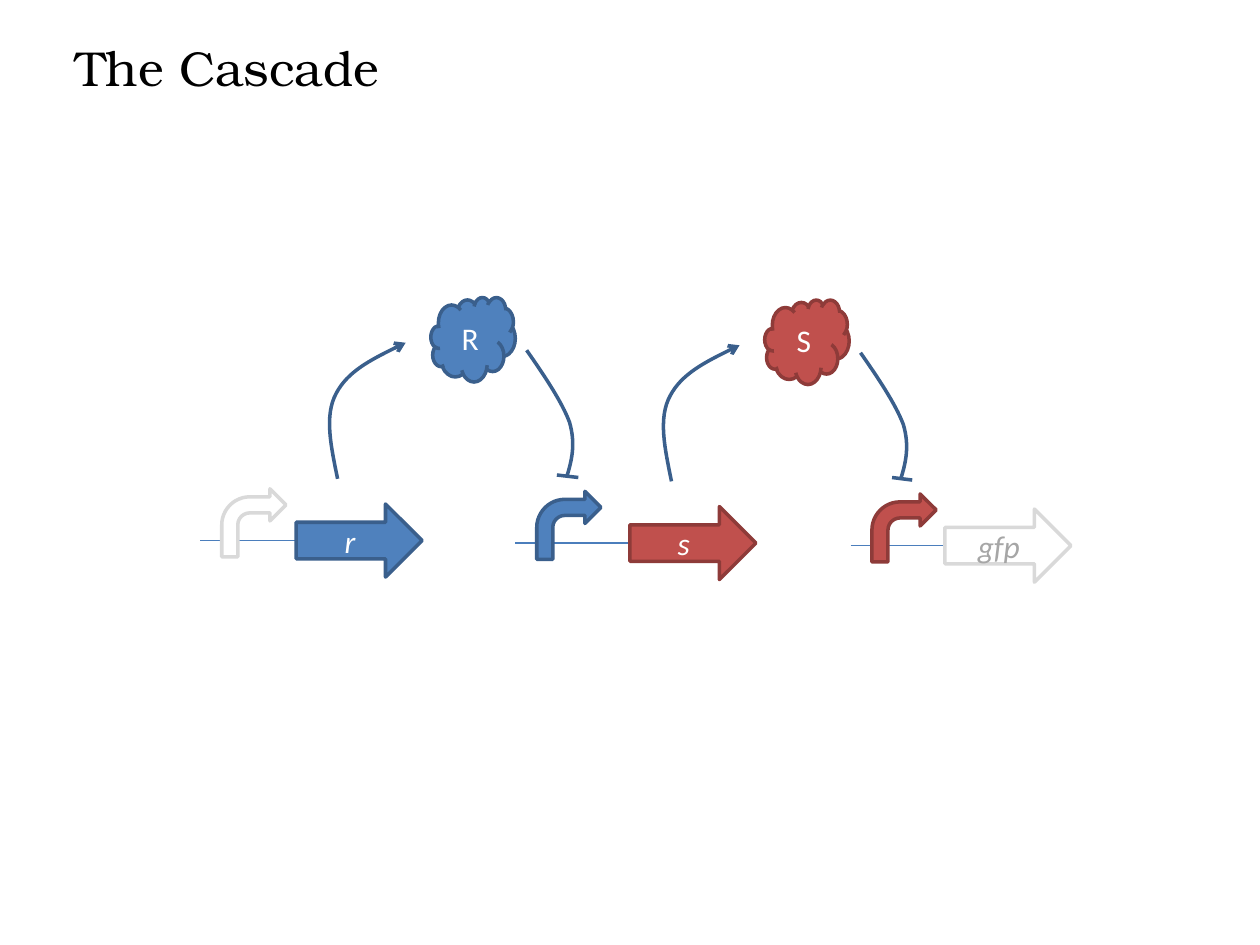
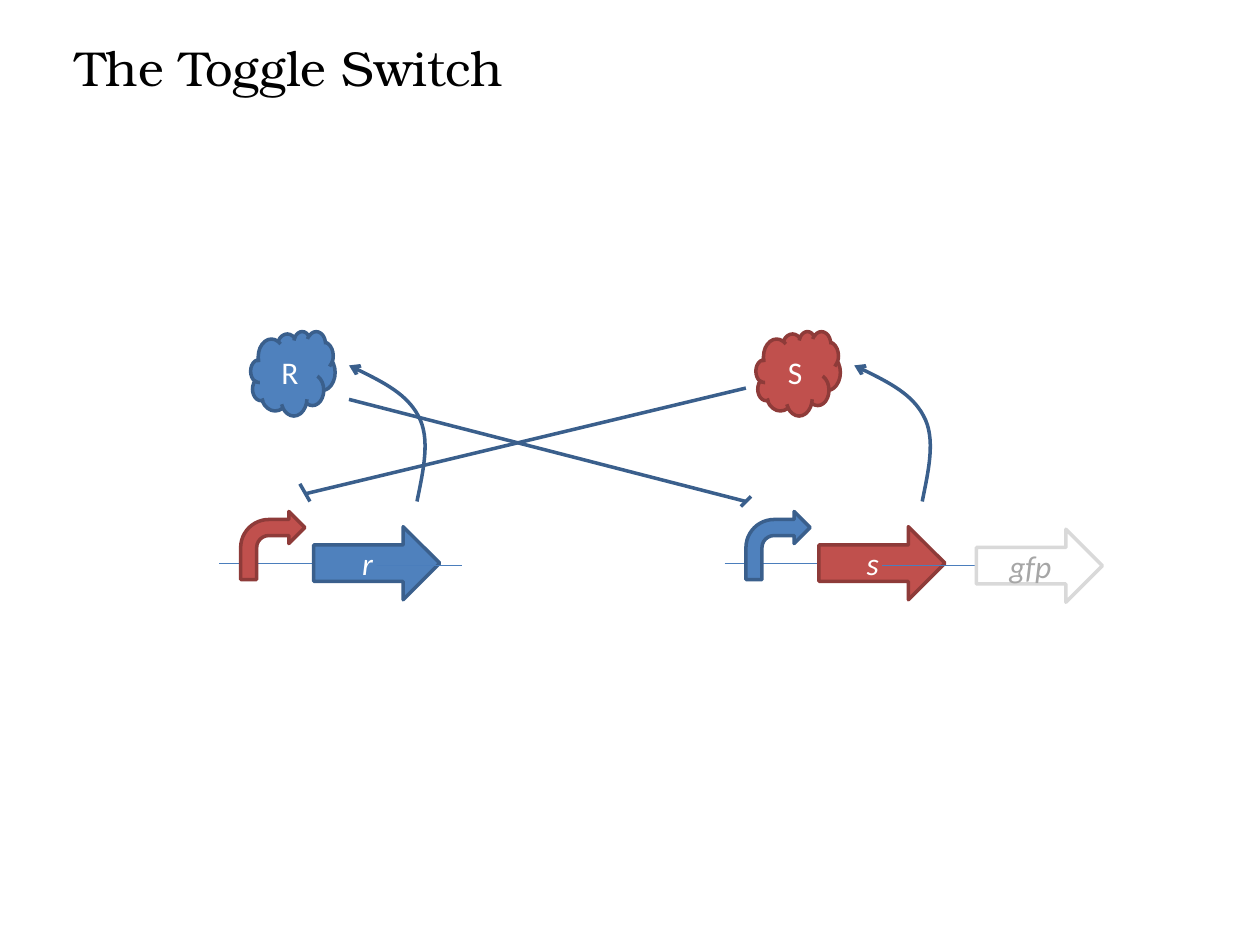
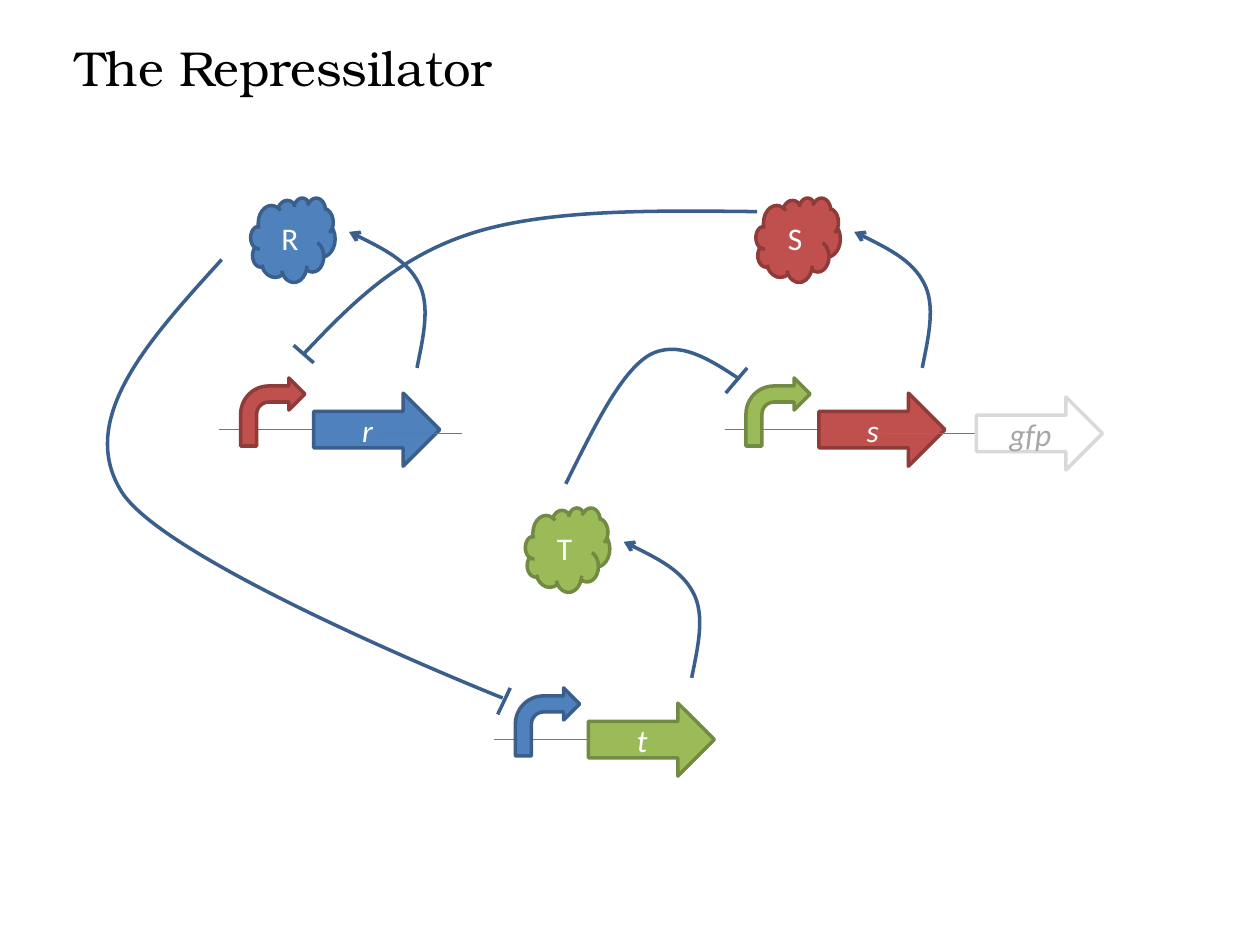
import pptx
import pptx.dml.color
import pptx.enum.shapes
import pptx.enum.text
import pptx.oxml.ns
import pptx.util
from lxml import etree

Inches = pptx.util.Inches
Pt = pptx.util.Pt
SHAPE = pptx.enum.shapes.MSO_SHAPE
qn = pptx.oxml.ns.qn

COLORS = {
    "blue": "4F81BD", "blue edge": "3A5F8C",
    "red": "C0504D", "red edge": "8E3B39",
    "green": "9BBB59", "green edge": "738A42",
    "white": "FFFFFF", "white edge": "D9D9D9",
    "dna": "4B7EBC", "title": "000000", "muted": "A6A6A6",
}
RGB = {name: pptx.dml.color.RGBColor.from_string(value) for name, value in COLORS.items()}
CURVE_STEPS = 50

# Offsets from a gene arrow's corner to its protein and to the expression curve
LEFT_CURVE = [(0.82, -0.2), (0.87, -0.45), (0.93, -0.7), (0.83, -0.88),
              (0.74, -1.05), (0.51, -1.17), (0.28, -1.28)]
RIGHT_CURVE = [(1.15 - x, y) for x, y in LEFT_CURVE]
LEFT_PROTEIN = (-0.5, -1.55)
RIGHT_PROTEIN = (1.07, -1.64)

# Genes: x, y, distance to promoter, promoter colour, gene colour, label
# Repressions: one straight line (2 points) or cubic curve (7 points)
CIRCUITS = [
    {
        "title": "The Cascade",
        "protein": RIGHT_PROTEIN, "expression": RIGHT_CURVE,
        "genes": [(2.35, 4, 0.59, "white", "blue", "r"),
                  (5, 4.02, 0.74, "blue", "red", "s"),
                  (7.5, 4.04, 0.58, "red", "white", "gfp")],
        "trailing_dna": [],
        "repressions": [
            [(x + dx, y + dy) for dx, dy in
             [(0, 0), (0.14, 0.2), (0.28, 0.41), (0.34, 0.57),
              (0.39, 0.74), (0.36, 0.87), (0.32, 1)]]
            for x, y in [(4.18, 2.78), (6.83, 2.8)]],
        "bars": [[(4.42, 3.77), (4.59, 3.79)], [(7.08, 3.79), (7.24, 3.81)]],
    },
    {
        "title": "The Toggle Switch",
        "protein": LEFT_PROTEIN, "expression": LEFT_CURVE,
        "genes": [(2.49, 4.18, 0.58, "red", "blue", "r"),
                  (6.5, 4.18, 0.58, "blue", "red", "s"),
                  (7.75, 4.2, 0.58, None, "white", "gfp")],
        "trailing_dna": [[(2.99, 4.49), (3.67, 4.49)]],
        "repressions": [[(5.92, 3.08), (2.42, 3.92)], [(2.77, 3.17), (5.92, 3.98)]],
        "bars": [[(2.38, 3.84), (2.46, 3.98)], [(5.96, 3.94), (5.88, 4.02)]],
    },
    {
        "title": "The Repressilator",
        "protein": LEFT_PROTEIN, "expression": LEFT_CURVE,
        "genes": [(2.49, 3.12, 0.58, "red", "blue", "r"),
                  (6.5, 3.12, 0.58, "green", "red", "s"),
                  (7.75, 3.15, 0.58, None, "white", "gfp"),
                  (4.67, 5.58, 0.58, "blue", "green", "t")],
        "trailing_dna": [[(2.99, 3.44), (3.67, 3.44)]],
        "repressions": [
            [(4.49, 3.84), (4.71, 3.4), (4.92, 2.96), (5.15, 2.82),
             (5.38, 2.69), (5.63, 2.85), (5.87, 3.01)],
            [(6.01, 1.68), (5.18, 1.67), (4.35, 1.66), (3.75, 1.85),
             (3.15, 2.04), (2.78, 2.42), (2.41, 2.81)],
            [(1.76, 2.06), (1.18, 2.7), (0.6, 3.33), (0.97, 3.91),
             (1.35, 4.49), (3.99, 5.54), (3.99, 5.54)]],
        "bars": [[(5.93, 2.92), (5.76, 3.12)], [(2.33, 2.74), (2.49, 2.88)],
                 [(4.05, 5.46), (3.95, 5.67)]],
    },
]


def add_part(slide, preset, x, y, width, height, color, label="", italic=False):
    part = slide.shapes.add_shape(preset, Inches(x), Inches(y), Inches(width), Inches(height))
    part.shadow.inherit = False
    part.fill.solid()
    part.fill.fore_color.rgb = RGB[color]
    part.line.color.rgb = RGB[color + " edge"]
    part.line.width = Pt(2)
    if label:
        part.text_frame.text = label
        part.text_frame.vertical_anchor = pptx.enum.text.MSO_ANCHOR.MIDDLE
        paragraph = part.text_frame.paragraphs[0]
        paragraph.alignment = pptx.enum.text.PP_ALIGN.CENTER
        font = paragraph.runs[0].font
        font.name, font.size, font.italic = "Calibri", Pt(18), italic
        font.color.rgb = RGB["muted" if color == "white" else "white"]


def add_line(slide, start, end, color, width):
    line = slide.shapes.add_connector(
        pptx.enum.shapes.MSO_CONNECTOR.STRAIGHT, *[Inches(v) for v in (*start, *end)])
    line.line.color.rgb = RGB[color]
    line.line.width = Pt(width)
    etree.SubElement(line.element.spPr, qn("a:effectLst"))


prs = pptx.Presentation()
prs.slide_width = Inches(10)
prs.slide_height = Inches(7.5)

for circuit in CIRCUITS:
    slide = prs.slides.add_slide(prs.slide_layouts[6])

    # Title
    title = slide.shapes.add_textbox(Inches(0.5), Inches(0.25), Inches(9.42), Inches(0.57))
    title.text_frame.word_wrap = True
    title.text_frame.auto_size = pptx.enum.text.MSO_AUTO_SIZE.SHAPE_TO_FIT_TEXT
    title.text_frame.text = circuit["title"]
    title_font = title.text_frame.paragraphs[0].runs[0].font
    title_font.name, title_font.size = "TeX Gyre Bonum", Pt(28)
    title_font.color.rgb = RGB["title"]

    # Genes with their DNA, promoters and proteins
    curves = []
    for x, y, gap, promoter, color, label in circuit["genes"]:
        promoter_x = x - gap
        add_line(slide, (promoter_x - 0.17, y + 0.29), (promoter_x + 1, y + 0.29), "dna", 0.75)
        add_part(slide, SHAPE.RIGHT_ARROW, x, y, 1, 0.58, color, label, italic=True)
        if promoter:
            add_part(slide, SHAPE.BENT_ARROW, promoter_x, y - 0.12, 0.51, 0.54, promoter)
        if label != "gfp":
            dx, dy = circuit["protein"]
            add_part(slide, SHAPE.CLOUD, x + dx, y + dy, 0.67, 0.67, color, label.upper())
            curves.append(([(x + dx, y + dy) for dx, dy in circuit["expression"]], True))
    for start, end in circuit["trailing_dna"]:
        add_line(slide, start, end, "dna", 0.75)

    # Straight repressions and the bars that end every repression
    for stroke in circuit["repressions"] + circuit["bars"]:
        if len(stroke) == 2:
            add_line(slide, *stroke, "blue edge", 2)
        else:
            curves.append((stroke, False))

    # Expression and repression curves
    for knots, has_arrow in curves:
        knots = [(Inches(x), Inches(y)) for x, y in knots]
        segments = [knots[first:first + 4] for first in range(0, len(knots) - 1, 3)]

        # The frame spans the true extent of the curve
        xs, ys = [
            [(1 - t) ** 3 * a + 3 * (1 - t) ** 2 * t * b + 3 * (1 - t) * t ** 2 * c + t ** 3 * d
             for a, b, c, d in [[point[axis] for point in segment] for segment in segments]
             for t in [step / CURVE_STEPS for step in range(CURVE_STEPS + 1)]]
            for axis in (0, 1)]
        left, top = round(min(xs)), round(min(ys))
        builder = slide.shapes.build_freeform(*knots[0])
        builder.add_line_segments([(left, top), (max(xs), max(ys))], close=False)
        curve = builder.convert_to_shape()

        # Cubic segments take the place of the straight ones
        outline = curve.element.spPr.find(".//" + qn("a:path"))
        for straight in outline.findall(qn("a:lnTo")):
            outline.remove(straight)
        for segment in segments:
            cubic = etree.SubElement(outline, qn("a:cubicBezTo"))
            for x, y in segment[1:]:
                etree.SubElement(cubic, qn("a:pt"), x=str(x - left), y=str(y - top))

        curve.shadow.inherit = False
        curve.fill.background()
        curve.line.color.rgb = RGB["blue edge"]
        curve.line.width = Pt(2)
        if has_arrow:
            edge = curve.element.spPr.find(qn("a:ln"))
            etree.SubElement(edge, qn("a:tailEnd"), type="arrow")

prs.save("out.pptx")
